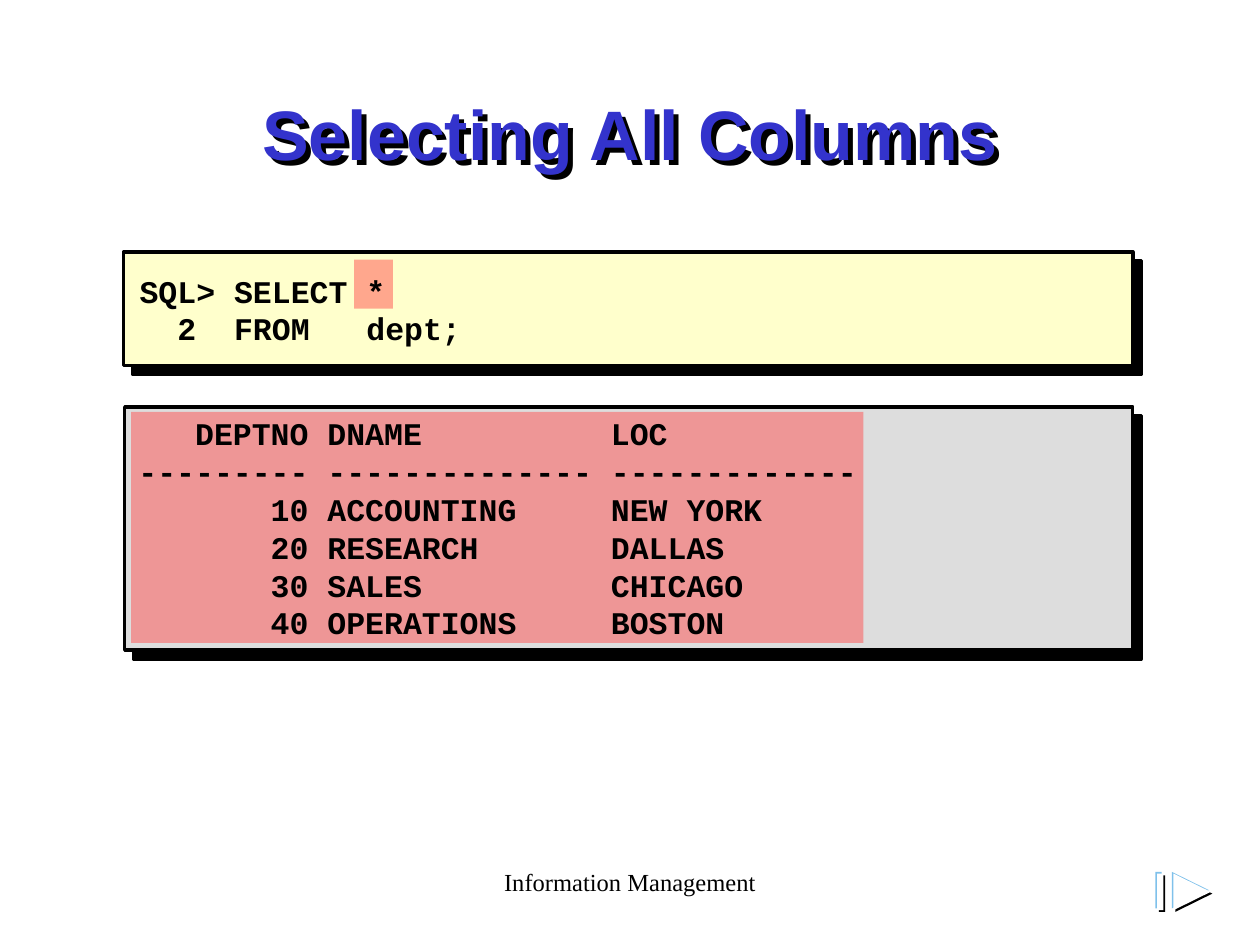
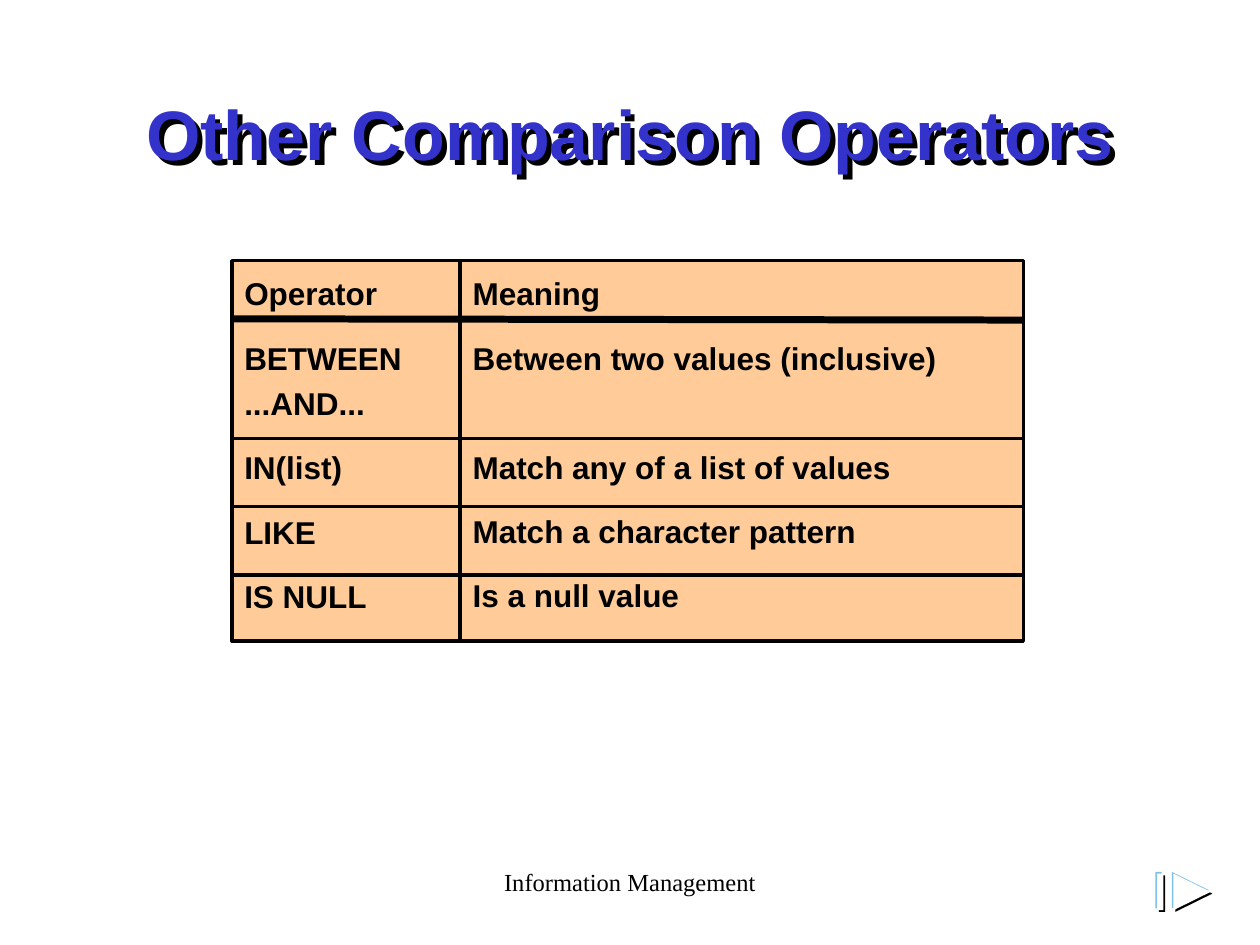
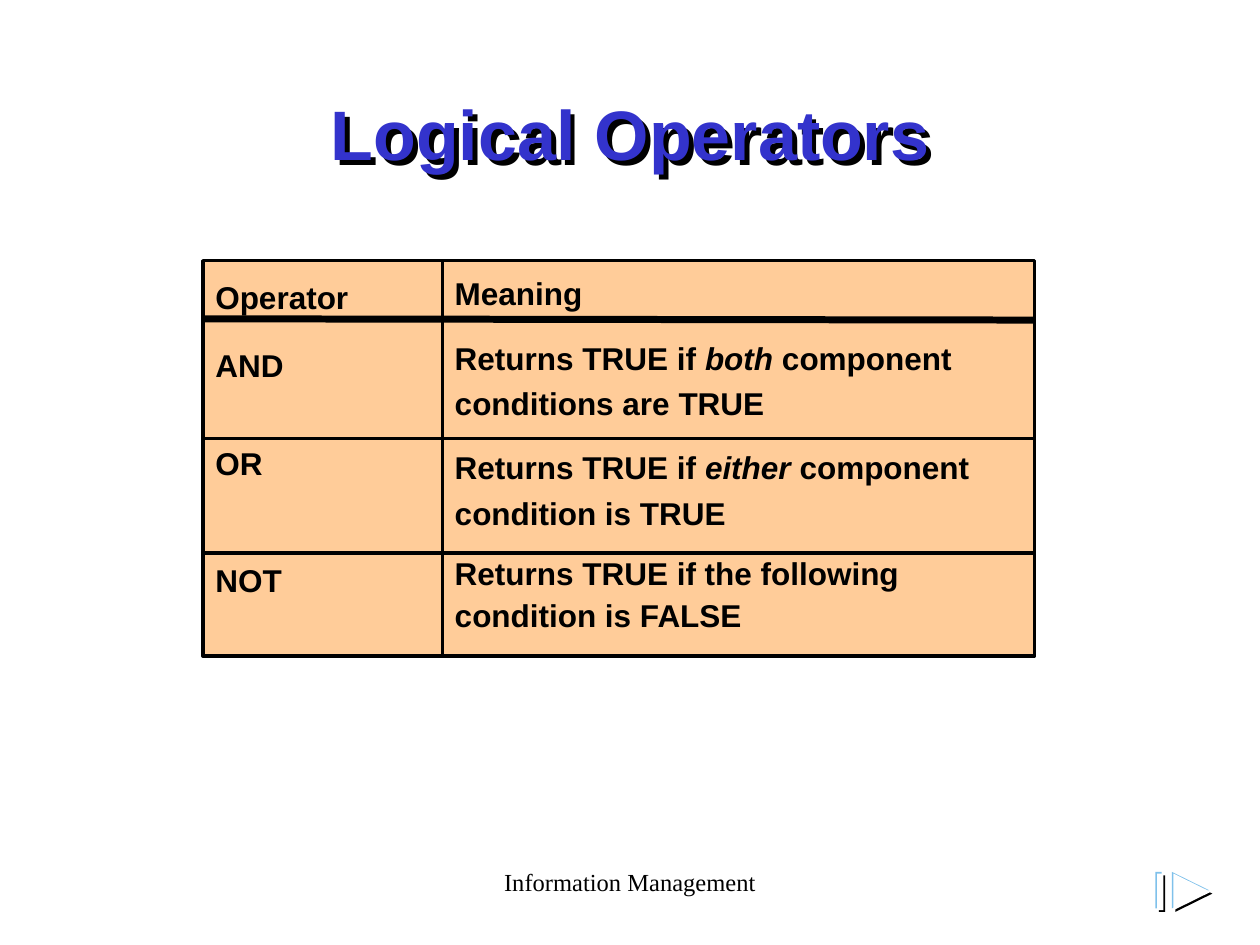
import dataclasses
import typing

import lxml.etree
import pptx
import pptx.dml.color
import pptx.enum.shapes
import pptx.enum.text
import pptx.oxml.ns
import pptx.util

BLACK = "000000"
WHITE = "FFFFFF"
TITLE_BLUE = "3333CC"
ICON_BLUE = "7FC1EB"
CODE_YELLOW = "FFFFCC"
RESULT_GREY = "DDDDDD"
HIGHLIGHT_RED = "FF5050"
TABLE_ORANGE = "FFCC99"
ROW_GAP = 10.8


@dataclasses.dataclass(frozen=True)
class Box:
    left: float
    top: float
    width: float
    height: float


@dataclasses.dataclass(frozen=True)
class Font:
    name: str
    size: float
    color: str = BLACK
    bold: bool = True


@dataclasses.dataclass(frozen=True)
class Entry:
    text: str
    before: float = ROW_GAP
    spacing: float = 1.2


@dataclasses.dataclass(frozen=True)
class Column:
    left: float
    width: float
    entries: tuple[Entry, ...]


@dataclasses.dataclass(frozen=True)
class OperatorTable:
    title: str
    height: float
    columns: tuple[Column, ...]
    rules: tuple[float, ...]


TITLE_BOX = Box(54, 48, 612, 90)
FOOTER_BOX = Box(246, 492, 228, 36)
TITLE_FONT = Font("Arial", 40, TITLE_BLUE)
FOOTER_FONT = Font("Times New Roman", 14, bold=False)
CODE_FONT = Font("Courier New", 18)
TABLE_FONT = Font("Arial", 18)
TABLE_TOP = 149
HEADER_RULE = 182.2

QUERY = (
    "SQL> SELECT *",
    "  2  FROM   dept;",
)
RESULT = (
    "   DEPTNO DNAME          LOC",
    "--------- -------------- -------------",
    "       10 ACCOUNTING     NEW YORK",
    "       20 RESEARCH       DALLAS",
    "       30 SALES          CHICAGO",
    "       40 OPERATIONS     BOSTON",
)

COMPARISON = OperatorTable(
    "Other Comparison Operators",
    217.4,
    (
        Column(132.5, 131.5, (
            Entry("Operator", 0),
            Entry("BETWEEN\v...AND..."),
            Entry("IN(list)"),
            Entry("LIKE"),
            Entry("IS NULL"),
        )),
        Column(263, 321.8, (
            Entry("Meaning", 0),
            Entry("Between two values (inclusive)"),
            Entry("Match any of a list of values", 36.5),
            Entry("Match a character pattern"),
            Entry("Is a null value"),
        )),
    ),
    (250.5, 289.5, 328.5),
)
LOGICAL = OperatorTable(
    "Logical Operators",
    226,
    (
        Column(116, 138, (
            Entry("Operator", 0, 1.3),
            Entry("AND", ROW_GAP, 1.3),
            Entry("OR", 28, 1.3),
            Entry("NOT", 38.5, 1.3),
        )),
        Column(252.8, 338.4, (
            Entry("Meaning", 0),
            Entry("Returns TRUE if |both |component conditions are TRUE"),
            Entry("Returns TRUE if |either |component condition is TRUE"),
            Entry("Returns TRUE if the following condition is FALSE", ROW_GAP, 1.1),
        )),
    ),
    (250.5, 316),
)


def color(value: str) -> pptx.dml.color.RGBColor:
    return pptx.dml.color.RGBColor.from_string(value)


def lengths(box: Box) -> tuple[int, ...]:
    return tuple(pptx.util.Pt(value) for value in dataclasses.astuple(box))


def format_runs(paragraph: typing.Any, font: Font) -> None:
    for run in paragraph.runs:
        run.font.name = font.name
        run.font.size = pptx.util.Pt(font.size)
        run.font.bold = font.bold
        run.font.color.rgb = color(font.color)


def prepare_frame(shape: typing.Any) -> typing.Any:
    text_frame = shape.text_frame
    text_frame.word_wrap = True
    text_frame.auto_size = pptx.enum.text.MSO_AUTO_SIZE.NONE
    text_frame.vertical_anchor = pptx.enum.text.MSO_ANCHOR.TOP
    text_frame.margin_left = text_frame.margin_right = pptx.util.Pt(7.2)
    text_frame.margin_top = text_frame.margin_bottom = pptx.util.Pt(3.6)
    return text_frame


def paint(shape: typing.Any, fill: str, outline: str | None = None) -> None:
    shape.fill.solid()
    shape.fill.fore_color.rgb = color(fill)
    if outline:
        shape.line.color.rgb = color(outline)
        shape.line.width = pptx.util.Pt(2)
    else:
        shape.line.fill.background()
    shape.shadow.inherit = False


def add_rectangle(shapes: typing.Any, box: Box, fill: str, outline: str | None = None) -> typing.Any:
    shape = shapes.add_shape(pptx.enum.shapes.MSO_SHAPE.RECTANGLE, *lengths(box))
    paint(shape, fill, outline)
    return shape


def cast_shadow(shape: typing.Any, distance: float) -> None:
    qualified = pptx.oxml.ns.qn
    shape.shadow.inherit = False
    effects = shape.element.spPr.find(qualified("a:effectLst"))
    shadow = lxml.etree.SubElement(
        effects, qualified("a:outerShdw"),
        dist=str(pptx.util.Pt(distance)), dir="2700000", algn="ctr", rotWithShape="0",
    )
    lxml.etree.SubElement(shadow, qualified("a:srgbClr"), val=BLACK)


def add_highlight(slide: typing.Any, box: Box) -> None:
    shape = add_rectangle(slide.shapes, box, HIGHLIGHT_RED)
    qualified = pptx.oxml.ns.qn
    fill_color = shape.element.spPr.find(".//" + qualified("a:srgbClr"))
    lxml.etree.SubElement(fill_color, qualified("a:alpha"), val="50000")


def add_text(
    slide: typing.Any,
    box: Box,
    lines: tuple[str, ...],
    font: Font,
    alignment: typing.Any = pptx.enum.text.PP_ALIGN.LEFT,
) -> typing.Any:
    text_frame = prepare_frame(slide.shapes.add_textbox(*lengths(box)))
    text_frame.text = "\n".join(lines)
    for paragraph in text_frame.paragraphs:
        paragraph.alignment = alignment
        format_runs(paragraph, font)
    return text_frame


def add_rule(slide: typing.Any, left: float, right: float, top: float, width: float, drop: float = 0) -> None:
    connector = slide.shapes.add_connector(
        pptx.enum.shapes.MSO_CONNECTOR.STRAIGHT,
        *(pptx.util.Pt(value) for value in (left, top, right, top + drop)),
    )
    connector.line.color.rgb = color(BLACK)
    connector.line.width = pptx.util.Pt(width)
    lxml.etree.SubElement(connector.element.spPr, pptx.oxml.ns.qn("a:effectLst"))


def add_next_icon(slide: typing.Any) -> None:
    group = slide.shapes.add_group_shape()
    layers = ((2, BLACK), (0, ICON_BLUE), (1, WHITE))
    left, top, height = 660.2, 498.2, 20.9
    for offset, fill in layers:
        add_rectangle(group.shapes, Box(left + offset, top + offset, 3.6, height), fill)
    for offset, fill in layers:
        x, y = left + 9.4 + offset, top + offset
        tip, upper, lower = (
            (pptx.util.Pt(across), pptx.util.Pt(down))
            for across, down in ((x + 21.2, y + height / 2), (x, y), (x, y + height))
        )
        builder = group.shapes.build_freeform(*tip)
        builder.add_line_segments((upper, lower), close=True)
        paint(builder.convert_to_shape(), fill)


def add_slide(presentation: typing.Any, title: str) -> typing.Any:
    slide = presentation.slides.add_slide(presentation.slide_layouts[5])
    shape = slide.shapes.title
    shape.left, shape.top, shape.width, shape.height = lengths(TITLE_BOX)
    text_frame = prepare_frame(shape)
    text_frame.text = title
    paragraph = text_frame.paragraphs[0]
    paragraph.alignment = pptx.enum.text.PP_ALIGN.CENTER
    format_runs(paragraph, TITLE_FONT)
    cast_shadow(shape, 4)
    add_text(slide, FOOTER_BOX, ("Information Management",), FOOTER_FONT, pptx.enum.text.PP_ALIGN.CENTER)
    return slide


def add_column(slide: typing.Any, column: Column, height: float) -> None:
    box = Box(column.left, TABLE_TOP, column.width, height)
    text_frame = prepare_frame(add_rectangle(slide.shapes, box, TABLE_ORANGE, BLACK))
    for index, entry in enumerate(column.entries):
        paragraph = text_frame.add_paragraph() if index else text_frame.paragraphs[0]
        parts = entry.text.split("|")
        paragraph.text = parts[0]
        for position, part in enumerate(parts[1:], start=1):
            run = paragraph.add_run()
            run.text = part
            run.font.italic = position % 2 == 1
        paragraph.alignment = pptx.enum.text.PP_ALIGN.LEFT
        paragraph.line_spacing = entry.spacing
        paragraph.space_before = pptx.util.Pt(entry.before)
        format_runs(paragraph, TABLE_FONT)


def build_query_slide(presentation: typing.Any) -> None:
    slide = add_slide(presentation, "Selecting All Columns")
    panels = (
        (Box(71.3, 232.5, 576, 139), RESULT_GREY),
        (Box(70.6, 144, 576.7, 64.8), CODE_YELLOW),
    )
    for box, fill in panels:
        cast_shadow(add_rectangle(slide.shapes, box, fill, BLACK), 7.1)
    add_highlight(slide, Box(202.4, 148.4, 22.2, 28))
    add_highlight(slide, Box(74.9, 235.4, 418.5, 132))
    add_text(slide, Box(72, 233.3, 574, 136.8), RESULT, CODE_FONT)
    query_frame = add_text(slide, Box(72.7, 143.3, 573, 67), QUERY, CODE_FONT)
    query_frame.vertical_anchor = pptx.enum.text.MSO_ANCHOR.MIDDLE
    add_next_icon(slide)


def build_operator_slide(presentation: typing.Any, table: OperatorTable) -> None:
    slide = add_slide(presentation, table.title)
    for column in table.columns:
        add_column(slide, column, table.height)
    left = table.columns[0].left
    right = table.columns[-1].left + table.columns[-1].width
    add_rule(slide, left, right, HEADER_RULE, 4, 0.7)
    for top in table.rules:
        add_rule(slide, left, right, top, 2)
    add_next_icon(slide)


def main() -> None:
    presentation = pptx.Presentation()
    presentation.slide_width = pptx.util.Pt(720)
    presentation.slide_height = pptx.util.Pt(540)
    build_query_slide(presentation)
    for table in (COMPARISON, LOGICAL):
        build_operator_slide(presentation, table)
    presentation.save("out.pptx")


if __name__ == "__main__":
    main()
